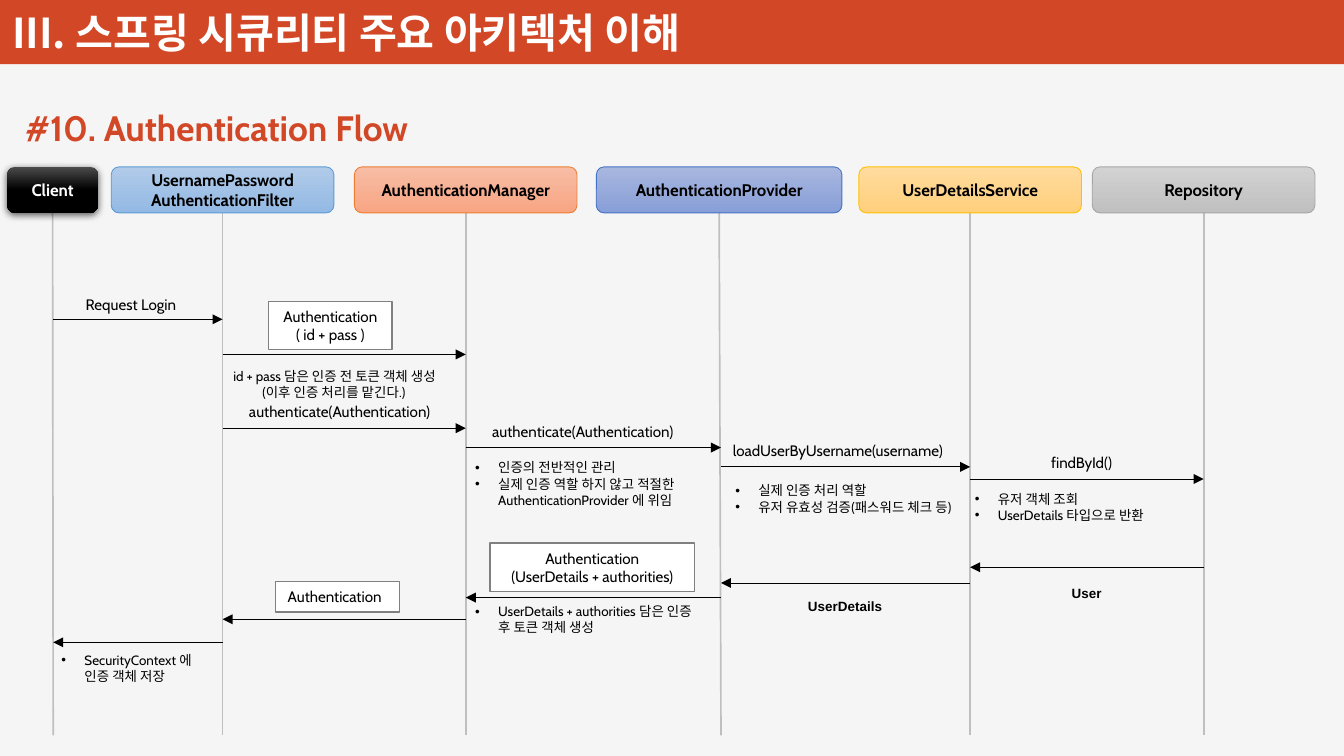
from lxml import etree
from pptx import Presentation
from pptx import util as u
from pptx.dml.color import RGBColor
from pptx.enum import shapes, text
from pptx.oxml.ns import qn

WIDE, HIGH = 11.11, 6.25
RED, BLACK, WHITE = "D24726", "000000", "FFFFFF"
TOP, TALL, FOOT = 1.38, 0.38, 6.08
HANG = 0.19
KOREAN = "Noto Sans CJK KR"

TITLE = "III. 스프링 시큐리티 주요 아키텍처 이해"
TOPIC = "#10. Authentication Flow"

# left, width, lane, label, upper colour, lower colour, border
HEADS = [
    (0.06, 0.75, 0.44, "Client", "4B4B4B", BLACK, None),
    (0.92, 1.84, 1.84, "UsernamePassword\nAuthenticationFilter", "B1CBE9", "93B9E4", "5B9BD5"),
    (2.93, 1.84, 3.85, "AuthenticationManager", "F7BDA5", "F8A582", "ED7D31"),
    (4.93, 2.03, 5.96, "AuthenticationProvider", "A8B7DF", "889ED7", "4472C4"),
    (7.1, 1.84, 8.02, "UserDetailsService", "FFDB9E", "FFD07C", "FFC000"),
    (9.03, 1.84, 9.95, "Repository", "D2D2D2", "C0C0C0", "A5A5A5"),
]
CALLS = [
    (0, 1, 2.64), (1, 2, 2.93), (1, 2, 3.54), (2, 3, 3.7), (3, 4, 3.86), (4, 5, 3.96),
    (5, 4, 4.69), (4, 3, 4.82), (3, 2, 4.94), (2, 1, 5.12), (1, 0, 5.31),
]
LABELS = [
    (0.61, 2.39, 1, "Request Login"),
    (1.96, 3.28, 1.79, "authenticate(Authentication)"),
    (3.97, 3.44, 1.79, "authenticate(Authentication)"),
    (5.96, 3.6, 2.02, "loadUserByUsername(username)"),
    (8.59, 3.7, 0.73, "findById()"),
]
TOKENS = [
    (2.22, 2.49, 1.02, 0.4, "Authentication\n( id + pass )", "c"),
    (4.05, 4.49, 1.69, 0.4, "Authentication\n(UserDetails + authorities)", "c"),
    (2.28, 4.81, 1.02, 0.25, "Authentication", "l"),
]
NOTES = [
    (3.83, 3.75, 2.07, 0.5, "인증의 전반적인 관리\n실제 인증 역할 하지 않고 적절한 AuthenticationProvider 에 위임"),
    (5.98, 3.94, 2.07, 0.5, "실제 인증 처리 역할\n유저 유효성 검증(패스워드 체크 등)"),
    (7.96, 4.01, 2.07, 0.37, "유저 객체 조회\nUserDetails 타입으로 반환"),
    (3.83, 4.94, 2.06, 0.37, "UserDetails + authorities 담은 인증 후 토큰 객체 생성"),
    (0.41, 5.34, 1.32, 0.37, "SecurityContext 에 인증 객체 저장"),
]
REPLIES = [(6.58, 4.83, 0.82, "UserDetails"), (8.76, 4.72, 0.47, "User")]
TOKEN_NOTE = "id + pass 담은 인증 전 토큰 객체 생성\n(이후 인증 처리를 맡긴다.)"

ALIGN = {"l": text.PP_ALIGN.LEFT, "c": text.PP_ALIGN.CENTER}
ANCHOR = {"t": text.MSO_ANCHOR.TOP, "m": text.MSO_ANCHOR.MIDDLE, "b": text.MSO_ANCHOR.BOTTOM}


def paint(part, tone):
    part.rgb = RGBColor.from_string(tone)


def fill(part, tone):
    part.solid()
    paint(part.fore_color, tone)


def add(node, tag, **attrs):
    return etree.SubElement(node, qn(tag), attrs)


def write(box, words, size=9, font="Cabin", tone=BLACK, bold=False, align="l", anchor="t",
          wrap=True, grow=True, bullet=False, space=None, step=0):
    frame = box.text_frame
    frame.word_wrap = wrap
    frame.auto_size = text.MSO_AUTO_SIZE.SHAPE_TO_FIT_TEXT if grow else text.MSO_AUTO_SIZE.NONE
    frame.vertical_anchor = ANCHOR[anchor]
    for i, line in enumerate(words.split("\n")):
        para = frame.add_paragraph() if i else frame.paragraphs[0]
        para.alignment = ALIGN[align]
        if space:
            para.line_spacing = space
        props = para._p.get_or_add_pPr()
        if bullet:
            props.set("marL", str(u.Inches(HANG)))
            props.set("indent", str(-u.Inches(HANG)))
            add(props, "a:buFont", typeface="Arial")
            add(props, "a:buChar", char="•")
        elif i and step:
            props.set("marL", str(u.Inches(step)))
        run = para.add_run()
        run.text = line
        run.font.size, run.font.bold, run.font.name = u.Pt(size), bold, font
        paint(run.font.color, tone)
        add(run._r.get_or_add_rPr(), "a:ea", typeface=KOREAN)


def place(*spot):
    return [u.Inches(v) for v in spot]


def label(x, y, w, h, words, **style):
    box = slide.shapes.add_textbox(*place(x, y, w, h))
    write(box, words, **style)
    return box


def block(x, y, w, h, kind="RECTANGLE", edge=None, width=0.5):
    shape = slide.shapes.add_shape(shapes.MSO_SHAPE[kind], *place(x, y, w, h))
    shape.shadow.inherit = False
    if edge:
        fill(shape.line.fill, edge)
        shape.line.width = u.Pt(width)
    else:
        shape.line.fill.background()
    return shape


def draw(x1, y1, x2, y2, tone, width, arrow=False):
    line = slide.shapes.add_connector(shapes.MSO_CONNECTOR.STRAIGHT, *place(x1, y1, x2, y2))
    fill(line.line.fill, tone)
    line.line.width = u.Pt(width)
    if arrow:
        add(line.line._get_or_add_ln(), "a:tailEnd", type="triangle")
    add(line._element.spPr, "a:effectLst")


def head(x, w, lane, words, upper, lower, edge):
    draw(x + w / 2, TOP + TALL, lane, FOOT, "BFBFBF", 1)
    shape = block(x, TOP, w, TALL, "ROUNDED_RECTANGLE", edge)
    shape.fill.gradient()
    shape.fill.gradient_angle = 270
    for stop, tone in zip(shape.fill.gradient_stops, (upper, lower)):
        paint(stop.color, tone)
    if not edge:
        shape.fill.gradient_stops[1].position = 0.5
        glow = add(shape._element.spPr.find(qn("a:effectLst")), "a:outerShdw",
                   blurRad=str(u.Pt(4.5)), dist=str(u.Pt(1.5)), dir="5400000", rotWithShape="0")
        add(add(glow, "a:srgbClr", val=BLACK), "a:alpha", val="63000")
    write(shape, words, size=10, bold=True, align="c", anchor="m", grow=False,
          tone=BLACK if edge else WHITE)


deck = Presentation()
deck.slide_width, deck.slide_height = place(WIDE, HIGH)
slide = deck.slides.add_slide(deck.slide_layouts[6])
fill(slide.background.fill, "F5F5F5")

fill(block(0, 0, WIDE, 0.53).fill, RED)
name = label(0.01, -0.1, 6.72, 0.61, TITLE, size=24.5, font=KOREAN, tone=WHITE, bold=True,
             anchor="b", grow=False)
frame = name.text_frame
frame.margin_left = frame.margin_right = u.Inches(0.09)
frame.margin_top = frame.margin_bottom = u.Inches(0.04)
label(0.11, 0.83, 3.68, 0.45, TOPIC, size=21, tone=RED, bold=True, wrap=False)

for item in HEADS:
    head(*item)
for start, end, y in CALLS:
    draw(HEADS[start][2], y, HEADS[end][2], y, BLACK, 0.5, arrow=True)
for x, y, w, words in LABELS:
    label(x, y, w, 0.25, words, wrap=False)
for x, y, w, h, words, align in TOKENS:
    card = block(x, y, w, h, edge="808080", width=0.75)
    fill(card.fill, WHITE)
    write(card, words, align=align, wrap=align == "l")
for x, y, w, h, words in NOTES:
    label(x, y, w, h, words, size=8, bullet=True)
label(1.83, 2.99, 2.08, 0.37, TOKEN_NOTE, size=8, wrap=False, step=0.24)
for x, y, w, words in REPLIES:
    label(x, y, w, 0.28, words, size=8, font="Arial", bold=True, space=1.5)

deck.save("out.pptx")
